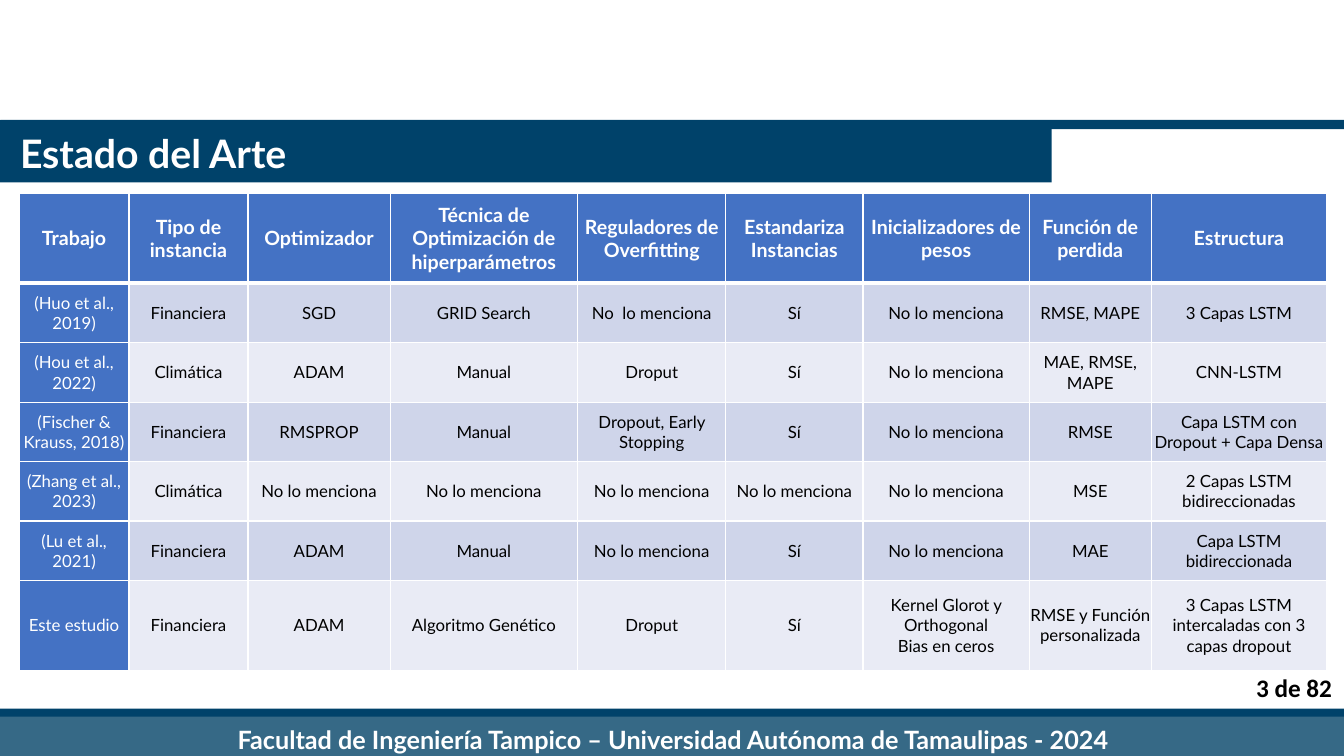
from lxml import etree
from pptx import Presentation
from pptx.dml.color import RGBColor
from pptx.enum.shapes import MSO_SHAPE
from pptx.enum.text import MSO_ANCHOR, PP_ALIGN
from pptx.oxml.ns import qn
from pptx.util import Inches, Pt

LEFT, CENTER, RIGHT = PP_ALIGN.LEFT, PP_ALIGN.CENTER, PP_ALIGN.RIGHT
MIDDLE, TOP = MSO_ANCHOR.MIDDLE, MSO_ANCHOR.TOP
RECTANGLE = MSO_SHAPE.RECTANGLE
STRIP = MSO_SHAPE.FLOWCHART_ALTERNATE_PROCESS

# Content
TITLE = "Estado del Arte"
PAGE = "3 de 82"
FOOTER = "Facultad de Ingeniería Tampico – Universidad Autónoma de Tamaulipas - 2024"
NONE = "No lo menciona"
ROWS = [
    ("Trabajo", "Tipo de instancia", "Optimizador",
     "Técnica de Optimización de hiperparámetros", "Reguladores de Overfitting",
     "Estandariza Instancias", "Inicializadores de pesos", "Función de perdida",
     "Estructura"),
    ("(Huo et al., 2019)", "Financiera", "SGD", "GRID Search", "No  lo menciona",
     "Sí", NONE, "RMSE, MAPE", "3 Capas LSTM"),
    ("(Hou et al., 2022)", "Climática", "ADAM", "Manual", "Droput",
     "Sí", NONE, "MAE, RMSE, MAPE", "CNN-LSTM"),
    ("(Fischer & Krauss, 2018)", "Financiera", "RMSPROP", "Manual",
     "Dropout, Early Stopping", "Sí", NONE, "RMSE",
     "Capa LSTM con Dropout + Capa Densa"),
    ("(Zhang et al., 2023)", "Climática", NONE, NONE, NONE,
     NONE, NONE, "MSE", "2 Capas LSTM bidireccionadas"),
    ("(Lu et al., 2021)", "Financiera", "ADAM", "Manual", NONE,
     "Sí", NONE, "MAE", "Capa LSTM bidireccionada"),
    ("Este estudio", "Financiera", "ADAM", "Algoritmo Genético", "Droput",
     "Sí", "Kernel Glorot y Orthogonal\nBias en ceros",
     "RMSE y Función personalizada",
     "3 Capas LSTM intercaladas con 3 capas dropout"),
]

# Layout and colours
COLUMN_WIDTHS = [1.09, 1.18, 1.41, 1.86, 1.47, 1.36, 1.65, 1.21, 1.74]
ROW_HEIGHTS = [0.89] + [0.59] * 5 + [0.89]
NAVY, TEAL, BLUE = "00426A", "366986", "4472C4"
BANDS = ("E9EBF5", "CFD5EA")
WHITE, BLACK = "FFFFFF", "000000"


def color(value):
    return RGBColor.from_string(value)


def write(frame, text, size=12, font="Lato", ink=WHITE, bold=False, align=CENTER):
    frame.word_wrap = True
    for index, line in enumerate(text.split("\n")):
        paragraph = frame.add_paragraph() if index else frame.paragraphs[0]
        paragraph.alignment = align
        run = paragraph.add_run()
        run.text = line
        run.font.size = Pt(size)
        run.font.name = font
        run.font.bold = bold
        run.font.color.rgb = color(ink)


def add_bar(slide, kind, box, fill):
    shape = slide.shapes.add_shape(kind, *map(Inches, box))
    shape.shadow.inherit = False
    shape.fill.solid()
    shape.fill.fore_color.rgb = color(fill)
    shape.line.fill.background()
    return shape


def add_text(slide, box, text, anchor=TOP, **style):
    frame = slide.shapes.add_textbox(*map(Inches, box)).text_frame
    frame.vertical_anchor = anchor
    write(frame, text, **style)


def set_borders(cell, widths):
    properties = cell._tc.get_or_add_tcPr()
    for index, (side, width) in enumerate(widths.items()):
        line = etree.Element(qn(f"a:ln{side}"), w=str(Pt(width)))
        fill = etree.SubElement(line, qn("a:solidFill"))
        etree.SubElement(fill, qn("a:srgbClr"), val=WHITE)
        properties.insert(index, line)


def add_studies_table(slide):
    box = (0.19, 1.92, sum(COLUMN_WIDTHS), sum(ROW_HEIGHTS))
    table = slide.shapes.add_table(
        len(ROW_HEIGHTS), len(COLUMN_WIDTHS), *map(Inches, box)).table
    for column, width in zip(table.columns, COLUMN_WIDTHS):
        column.width = Inches(width)
    for row, height in zip(table.rows, ROW_HEIGHTS):
        row.height = Inches(height)

    for r, texts in enumerate(ROWS):
        for c, text in enumerate(texts):
            cell = table.cell(r, c)
            header, accent = r == 0, r == 0 or c == 0
            cell.vertical_anchor = MIDDLE
            cell.margin_left = cell.margin_right = Inches(0.01)
            cell.margin_top = cell.margin_bottom = 0
            cell.fill.solid()
            cell.fill.fore_color.rgb = color(BLUE if accent else BANDS[r % 2])
            set_borders(cell, {"L": 1, "R": 1, "T": 3 if r == 1 else 1,
                               "B": 3 if header else 1})
            write(cell.text_frame, text, size=14 if header else 12,
                  ink=WHITE if accent else BLACK, bold=header)


def main():
    presentation = Presentation()
    presentation.slide_width = Inches(13.33)
    presentation.slide_height = Inches(7.5)
    slide = presentation.slides.add_slide(presentation.slide_layouts[6])

    # Frame bars and footer
    add_bar(slide, STRIP, (-0.02, 7.03, 13.37, 0.09), NAVY)
    add_bar(slide, STRIP, (-0.01, 1.19, 13.37, 0.09), NAVY)
    footer = add_bar(slide, RECTANGLE, (-0.01, 7.11, 13.37, 0.46), TEAL)
    footer.text_frame.vertical_anchor = MIDDLE
    write(footer.text_frame, FOOTER, size=18, bold=True)

    # Page number and title
    add_text(slide, (11.85, 6.62, 1.46, 0.4), PAGE, size=18, font="Calibri",
             ink=BLACK, bold=True, align=RIGHT)
    add_bar(slide, RECTANGLE, (0, 1.27, 10.43, 0.54), NAVY)
    add_text(slide, (0.1, 1.32, 10.22, 0.4), TITLE, anchor=MIDDLE, size=28,
             bold=True, align=LEFT)

    add_studies_table(slide)
    presentation.save("out.pptx")


if __name__ == "__main__":
    main()
